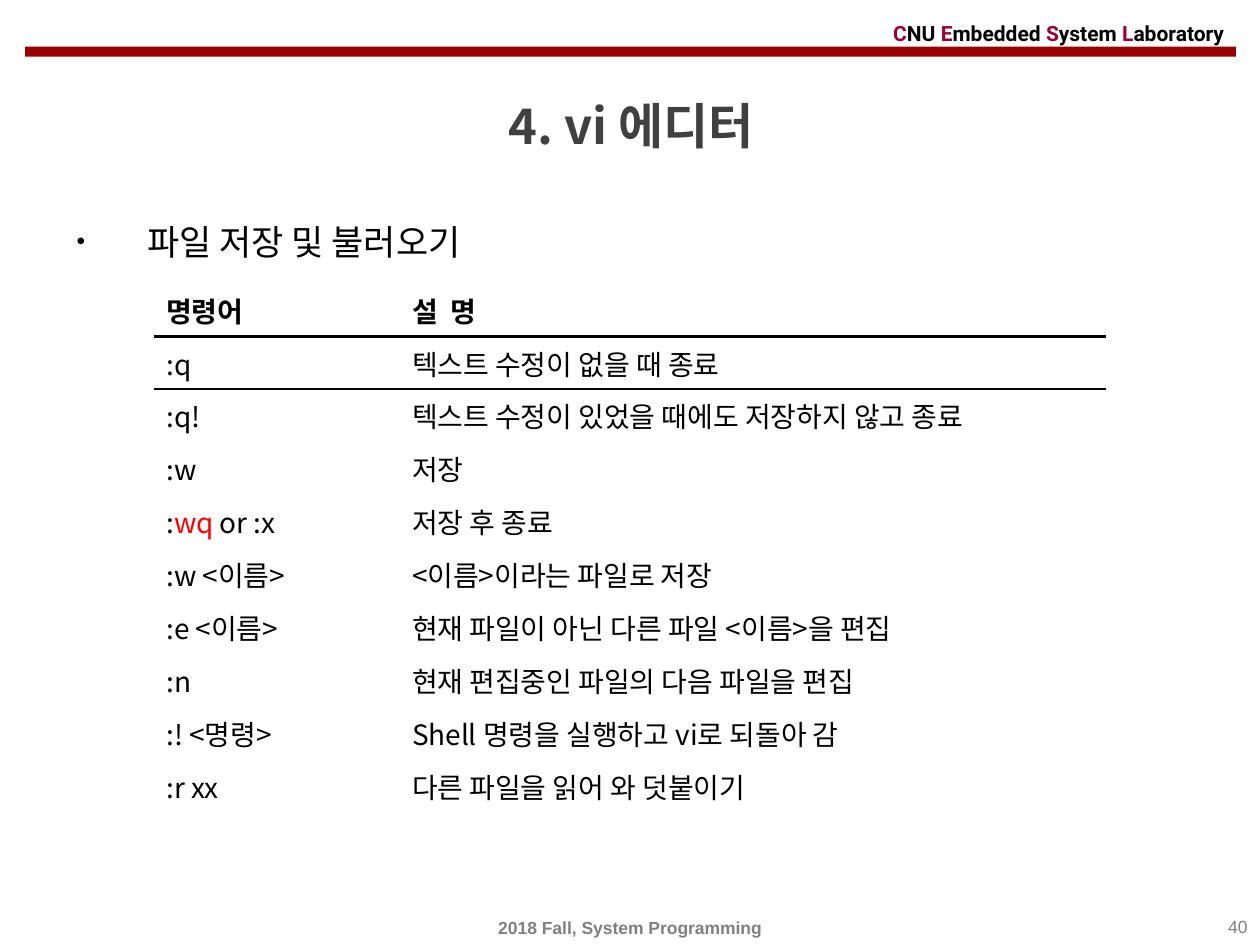
from lxml import etree
from pptx import Presentation
from pptx import util as u
from pptx.dml.color import RGBColor
from pptx.enum import shapes, text
from pptx.oxml.ns import qn

COLORS = {
    "bar": "990000", "initial": "990033", "ink": "000000",
    "title": "404040", "footer": "808080", "accent": "FF0000",
}
KOREAN = "Noto Sans CJK KR"
PLAIN_TABLE = "{2D5ABB26-0587-4C30-8999-92F81FD0307C}"
LAB_NAME = ["C", "NU ", "E", "mbedded ", "S", "ystem ", "L", "aboratory"]
COMMANDS = [
    ("명령어", "설  명"),
    (":q", "텍스트 수정이 없을 때 종료"),
    (":q!", "텍스트 수정이 있었을 때에도 저장하지 않고 종료"),
    (":w", "저장"),
    (":wq or :x", "저장 후 종료"),
    (":w <이름>", "<이름>이라는 파일로 저장"),
    (":e <이름>", "현재 파일이 아닌 다른 파일 <이름>을 편집"),
    (":n", "현재 편집중인 파일의 다음 파일을 편집"),
    (":! <명령>", "Shell 명령을 실행하고 vi로 되돌아 감"),
    (":r xx", "다른 파일을 읽어 와 덧붙이기"),
]


def inches(box):
    return [u.Inches(length) for length in box]


def format_run(run, size, color, font=KOREAN, bold=False):
    run.font.size = u.Pt(size)
    run.font.bold = bold
    run.font.name = font
    run.font.color.rgb = RGBColor.from_string(COLORS[color])
    east_asian = etree.Element(qn("a:ea"), typeface=KOREAN)
    run.font._element.find(qn("a:latin")).addnext(east_asian)


def write_runs(paragraph, pieces, size, font=KOREAN, bold=False):
    for words, color in pieces:
        run = paragraph.add_run()
        run.text = words
        format_run(run, size, color, font, bold)


def add_text(slide, box, pieces, size, font, bold=False,
             align=text.PP_ALIGN.LEFT, anchor=text.MSO_ANCHOR.MIDDLE):
    frame = slide.shapes.add_textbox(*inches(box)).text_frame
    frame.word_wrap = True
    frame.vertical_anchor = anchor
    paragraph = frame.paragraphs[0]
    paragraph.alignment = align
    write_runs(paragraph, pieces, size, font, bold)
    return paragraph


def add_header(slide, box):
    left, top, width, height = box
    bar = slide.shapes.add_shape(
        shapes.MSO_SHAPE.RECTANGLE,
        *inches((left, top + height - 0.08, width, 0.08)))
    bar.shadow.inherit = False
    bar.fill.solid()
    bar.fill.fore_color.rgb = RGBColor.from_string(COLORS["bar"])
    bar.line.fill.background()
    pieces = [(words, "ink" if index % 2 else "initial")
              for index, words in enumerate(LAB_NAME)]
    add_text(slide, (left + 6.79, top, 3.01, height - 0.05),
             pieces, 12, "Roboto", bold=True)


def set_title(slide, box, words):
    title = slide.shapes.title
    title.left, title.top, title.width, title.height = inches(box)
    frame = title.text_frame
    frame.vertical_anchor = text.MSO_ANCHOR.MIDDLE
    frame.text = words
    paragraph = frame.paragraphs[0]
    paragraph.alignment = text.PP_ALIGN.CENTER
    format_run(paragraph.runs[0], 28, "title", bold=True)


def add_bullet(slide, box, words):
    paragraph = add_text(slide, box, [(words, "ink")], 20, "Roboto",
                         anchor=text.MSO_ANCHOR.TOP)
    paragraph.space_before = u.Pt(4)
    properties = paragraph._p.get_or_add_pPr()
    properties.set("marL", str(u.Inches(0.56)))
    properties.set("indent", str(u.Inches(-0.56)))
    etree.SubElement(properties, qn("a:buSzPct"), val="70000")
    etree.SubElement(properties, qn("a:buFont"), typeface="Arial")
    etree.SubElement(properties, qn("a:buChar"), char="•")


def add_border(cell, side):
    properties = cell._tc.get_or_add_tcPr()
    line = etree.SubElement(properties, qn("a:" + side), w=str(u.Pt(1.5)))
    fill = etree.SubElement(line, qn("a:solidFill"))
    etree.SubElement(fill, qn("a:srgbClr"), val=COLORS["ink"])


def split_accent(words, accent="wq"):
    before, found, after = words.partition(accent)
    pieces = [(before, "ink"), (found, "accent"), (after, "ink")]
    return [piece for piece in pieces if piece[0]]


def add_command_table(slide, box, rows):
    frame = slide.shapes.add_table(len(rows), 2, *inches(box))
    table = frame.table
    table.first_row = table.horz_banding = False
    table._tbl.tblPr.find(qn("a:tableStyleId")).text = PLAIN_TABLE
    table.columns[0].width = u.Inches(1.95)
    table.columns[1].width = u.Inches(box[2] - 1.95)
    for row_index, row in enumerate(rows):
        for column_index, words in enumerate(row):
            cell = table.cell(row_index, column_index)
            write_runs(cell.text_frame.paragraphs[0], split_accent(words),
                       16, bold=row_index == 0)
            if row_index < 2:
                add_border(cell, "lnT" if row_index else "lnB")
            cell.fill.background()


def add_footer(slide, box, words, number):
    left, top, width, height = box
    add_text(slide, (left + width * 0.77, top, width * 0.23, height),
             [(number, "footer")], 10, "Arial",
             align=text.PP_ALIGN.RIGHT, anchor=text.MSO_ANCHOR.TOP)
    add_text(slide, box, [(words, "footer")], 10, "Arial", bold=True,
             align=text.PP_ALIGN.CENTER)


def main():
    presentation = Presentation()
    presentation.slide_width, presentation.slide_height = inches((10, 7.5))
    slide = presentation.slides.add_slide(presentation.slide_layouts[5])
    add_header(slide, (0.2, 0.12, 9.61, 0.33))
    set_title(slide, (0.21, 0.6, 9.6, 0.79), "4. vi 에디터")
    add_bullet(slide, (0.51, 1.7, 9.06, 0.5), "파일 저장 및 불러오기")
    add_command_table(slide, (1.22, 2.25, 7.56, 4.2), COMMANDS)
    add_footer(slide, (0, 7.22, 10, 0.28), "2018 Fall, System Programming", "40")
    presentation.save("out.pptx")


if __name__ == "__main__":
    main()
